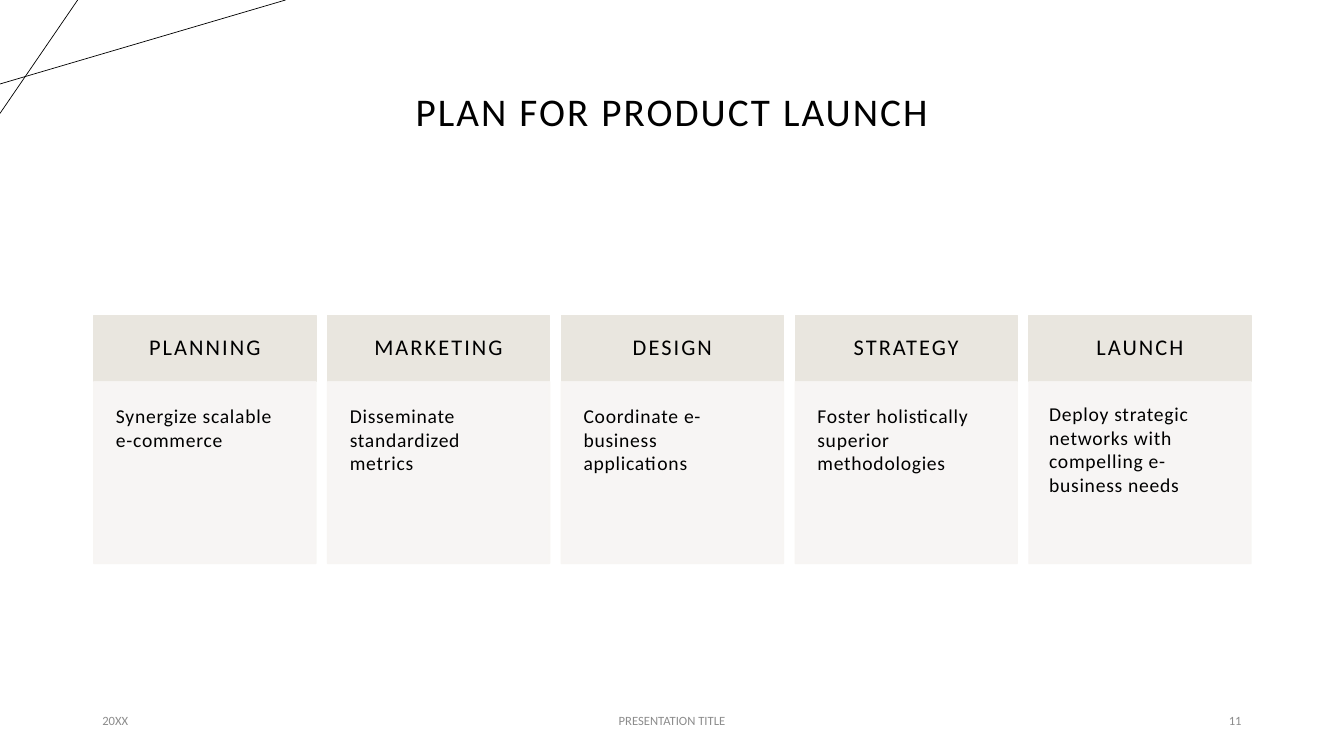
from lxml.etree import SubElement
from pptx import Presentation
from pptx.dml.color import RGBColor
from pptx.enum.shapes import MSO_CONNECTOR, MSO_SHAPE
from pptx.enum.text import MSO_ANCHOR, PP_ALIGN
from pptx.oxml.ns import qn
from pptx.util import Pt

COLORS = {"ink": "000000", "header": "E9E6DF", "body": "F7F5F3", "footer": "8C8C8C"}

TITLE = {"size": 28, "color": "ink", "tracking": 150, "inset": (7.2, 3.6),
         "paragraph": {"alignment": PP_ALIGN.CENTER, "line_spacing": 0.9},
         "frame": {"vertical_anchor": MSO_ANCHOR.MIDDLE}}
HEADER = {**TITLE, "size": 16, "inset": (12.24, 12.24)}
BODY = {"size": 14, "color": "ink", "tracking": 50, "inset": (15.84, 15.84),
        "paragraph": {"alignment": PP_ALIGN.LEFT},
        "frame": {"vertical_anchor": MSO_ANCHOR.TOP}}
FOOTER = {"size": 9, "color": "footer", "tracking": 0, "inset": (7.2, 3.6),
          "frame": {"vertical_anchor": MSO_ANCHOR.MIDDLE}}


def write_text(shape, text, style):
    frame = shape.text_frame
    horizontal, vertical = style["inset"]
    frame_values = {"word_wrap": True,
                    "margin_left": Pt(horizontal), "margin_right": Pt(horizontal),
                    "margin_top": Pt(vertical), "margin_bottom": Pt(vertical),
                    **style["frame"]}
    for name, value in frame_values.items():
        setattr(frame, name, value)
    paragraph = frame.paragraphs[0]
    for name, value in style["paragraph"].items():
        setattr(paragraph, name, value)
    run = paragraph.add_run()
    run.text = text
    for name, value in {"name": "Calibri", "size": Pt(style["size"])}.items():
        setattr(run.font, name, value)
    run.font.color.rgb = RGBColor.from_string(COLORS[style["color"]])
    run._r.get_or_add_rPr().set("spc", str(style["tracking"]))


def add_panel(slide, left, top, width, height, color, opacity):
    shape = slide.shapes.add_shape(MSO_SHAPE.RECTANGLE, Pt(left), Pt(top), Pt(width), Pt(height))
    shape.shadow.inherit = False
    shape.fill.solid()
    shape.line.fill.solid()
    shape.line.width = Pt(1)
    for fill in (shape.fill, shape.line.fill):
        fill.fore_color.rgb = RGBColor.from_string(COLORS[color])
    if opacity < 100:
        for rgb in shape._element.spPr.iter(qn("a:srgbClr")):
            SubElement(rgb, qn("a:alpha")).set("val", str(opacity * 1000))
    return shape


presentation = Presentation()
presentation.slide_width = Pt(960)
presentation.slide_height = Pt(540)
slide = presentation.slides.add_slide(presentation.slide_layouts[5])

for start_x, start_y, end_x, end_y in [(0, 60, 204, 0), (55.5, 0, 0, 81)]:
    connector = slide.shapes.add_connector(
        MSO_CONNECTOR.STRAIGHT, Pt(start_x), Pt(start_y), Pt(end_x), Pt(end_y))
    connector.line.width = Pt(0.5)
    connector.line.color.rgb = RGBColor.from_string(COLORS["ink"])
    SubElement(connector._element.spPr, qn("a:effectLst"))

title = slide.shapes.title
title_box = {"left": 66, "top": 28.8, "width": 828, "height": 104.4}
for name, value in title_box.items():
    setattr(title, name, Pt(value))
write_text(title, "PLAN FOR PRODUCT LAUNCH", TITLE)

stages = [
    ("PLANNING", "Synergize scalable e-commerce", 15.84),
    ("MARKETING", "Disseminate standardized metrics", 15.84),
    ("DESIGN", "Coordinate e-business applications", 15.84),
    ("STRATEGY", "Foster holistically superior methodologies", 15.84),
    ("LAUNCH", "Deploy strategic networks with compelling e-business needs", 14.4),
]
card_left, card_top, card_width, card_step = 67, 225.5, 158.6, 167
header_height, body_height = 47.2, 129.8
for index, (heading, description, inset) in enumerate(stages):
    left = card_left + index * card_step
    header = add_panel(slide, left, card_top, card_width, header_height, "header", 100)
    write_text(header, heading, HEADER)
    body = add_panel(slide, left, card_top + header_height, card_width, body_height, "body", 90)
    write_text(body, description, {**BODY, "inset": (inset, inset)})

footers = [
    ("20XX", 66, 216, PP_ALIGN.LEFT),
    ("PRESENTATION TITLE", 318, 324, PP_ALIGN.CENTER),
    ("11", 678, 216, PP_ALIGN.RIGHT),
]
for text, left, width, alignment in footers:
    box = slide.shapes.add_textbox(Pt(left), Pt(500.5), Pt(width), Pt(28.75))
    write_text(box, text, {**FOOTER, "paragraph": {"alignment": alignment}})

presentation.save("out.pptx")
